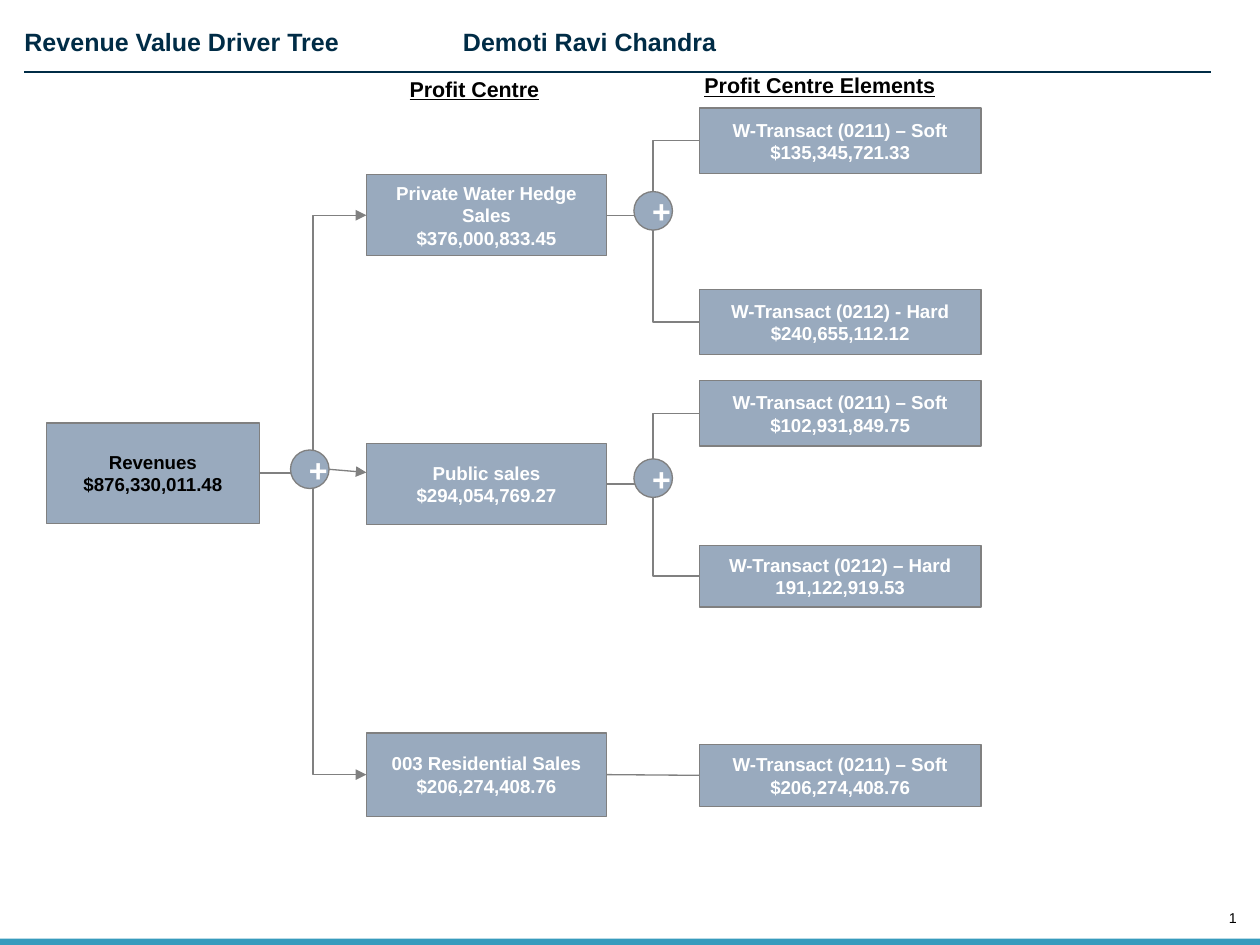
from dataclasses import dataclass

from lxml import etree
from pptx import Presentation
from pptx.dml.color import RGBColor
from pptx.enum import shapes, text
from pptx.oxml.ns import qn
from pptx.util import Pt

NAVY, TEAL, STEEL, GREY = "002C46", "379BBD", "99AABE", "808080"
BLACK, WHITE = "000000", "FFFFFF"
LEFT_SITE, RIGHT_SITE = 1, 3
CIRCLE = 21.6
STRAIGHT, ELBOW = shapes.MSO_CONNECTOR.STRAIGHT, shapes.MSO_CONNECTOR.ELBOW
CENTER, RIGHT = text.PP_ALIGN.CENTER, text.PP_ALIGN.RIGHT


@dataclass
class Column:
    left: float
    width: float
    color: str = WHITE


@dataclass
class Node:
    column: Column
    top: float
    height: float
    name: str
    amount: str


@dataclass
class Label:
    left: float
    top: float
    width: float
    height: float
    words: str
    size: float
    color: str = BLACK
    bold: bool = True
    underline: bool = False
    inset: bool = True


def rgb(color: str) -> RGBColor:
    return RGBColor.from_string(color)


def write(sp, words: str, size: float, color: str, align=None,
          bold: bool = True, underline: bool = False) -> None:
    tf = sp.text_frame
    tf.text = words
    for p in tf.paragraphs:
        p.alignment = align
        for r in p.runs:
            r.font.name, r.font.size = "Arial", Pt(size)
            r.font.bold, r.font.underline = bold, underline
            r.font.color.rgb = rgb(color)


def add_block(s, kind, left: float, top: float, width: float, height: float,
              fill: str, line: str | None = None):
    sp = s.shapes.add_shape(kind, Pt(left), Pt(top), Pt(width), Pt(height))
    sp.shadow.inherit = False
    sp.fill.solid()
    sp.fill.fore_color.rgb = rgb(fill)
    if line:
        sp.line.color.rgb, sp.line.width = rgb(line), Pt(0.75)
    else:
        sp.line.fill.background()
    return sp


def add_node(s, node: Node):
    col = node.column
    sp = add_block(s, shapes.MSO_SHAPE.RECTANGLE, col.left, node.top,
                   col.width, node.height, STEEL, GREY)
    sp.text_frame.vertical_anchor = text.MSO_ANCHOR.MIDDLE
    write(sp, f"{node.name}\n{node.amount}", 10.5, col.color, CENTER)
    return sp


def add_plus(s, left: float, top: float) -> None:
    sp = add_block(s, shapes.MSO_SHAPE.OVAL, left, top, CIRCLE, CIRCLE, STEEL, GREY)
    sp.text_frame.vertical_anchor = text.MSO_ANCHOR.MIDDLE
    write(sp, "+", 18, WHITE, CENTER)


def add_label(s, label: Label, align=None):
    sp = s.shapes.add_textbox(Pt(label.left), Pt(label.top),
                              Pt(label.width), Pt(label.height))
    tf = sp.text_frame
    tf.word_wrap = True
    if not label.inset:
        tf.margin_left = tf.margin_right = tf.margin_top = tf.margin_bottom = 0
    write(sp, label.words, label.size, label.color, align, label.bold, label.underline)
    return sp


def add_line(s, kind, x1: float, y1: float, x2: float, y2: float,
             color: str = GREY, arrow: bool = False):
    cx = s.shapes.add_connector(kind, Pt(x1), Pt(y1), Pt(x2), Pt(y2))
    cx.line.color.rgb, cx.line.width = rgb(color), Pt(0.75)
    if arrow:
        etree.SubElement(cx.line._get_or_add_ln(), qn("a:tailEnd"), type="triangle")
    etree.SubElement(cx._element.spPr, qn("a:effectLst"))
    return cx


def join(s, parent, child, kind=ELBOW, arrow: bool = False) -> None:
    cx = add_line(s, kind, 0, 0, 0, 0, arrow=arrow)
    cx.begin_connect(parent, RIGHT_SITE)
    cx.end_connect(child, LEFT_SITE)


prs = Presentation()
prs.slide_width, prs.slide_height = Pt(705.6), Pt(529.2)
s = prs.slides.add_slide(prs.slide_layouts[6])

# Page number and footer band
add_label(s, Label(682.6, 509, 10.1, 9.4, "1", 8, bold=False, inset=False), RIGHT)
add_block(s, shapes.MSO_SHAPE.RECTANGLE, 0, 525.6, 705.6, 3.6, TEAL)

# Title with the author at a tab stop, and the rule below
title = add_label(s, Label(13.7, 14.8, 688.3, 17.3,
                           "Revenue Value Driver Tree\tDemoti Ravi Chandra",
                           14, NAVY, inset=False))
pPr = title.text_frame.paragraphs[0]._p.get_or_add_pPr()
tabs = etree.SubElement(pPr, qn("a:tabLst"))
etree.SubElement(tabs, qn("a:tab"), pos=str(Pt(245.6)), algn="l")
add_line(s, STRAIGHT, 13.7, 40.3, 678.2, 40.3, NAVY)

# Column headings
for heading in (
    Label(222.3, 39, 141.1, 21.6, "Profit Centre", 12, underline=True),
    Label(387.4, 37.1, 157.7, 21.6, "Profit Centre Elements", 12, underline=True),
):
    add_label(s, heading)

# Driver tree: total, profit centres and their elements
total_col = Column(25.9, 119.5, BLACK)
centre_col = Column(205.2, 134.6)
element_col = Column(391.7, 157.7)
SOFT, HARD = "W-Transact (0211) – Soft", "W-Transact (0212) – Hard"

tree = [
    (Node(centre_col, 97.9, 45.4, "Private Water Hedge Sales", "$376,000,833.45"), [
        Node(element_col, 60.5, 36.7, SOFT, "$135,345,721.33"),
        Node(element_col, 162, 36.7, "W-Transact (0212) - Hard", "$240,655,112.12")]),
    (Node(centre_col, 248.4, 45.4, "Public sales", "$294,054,769.27"), [
        Node(element_col, 213.1, 36.7, SOFT, "$102,931,849.75"),
        Node(element_col, 305.3, 34.6, HARD, "191,122,919.53")]),
    (Node(centre_col, 410.4, 46.8, "003 Residential Sales", "$206,274,408.76"), [
        Node(element_col, 416.9, 34.6, SOFT, "$206,274,408.76")]),
]

total = add_node(s, Node(total_col, 236.9, 56.2, "Revenues", "$876,330,011.48"))
for centre, elements in tree:
    centre_sp = add_node(s, centre)
    if centre.name != "Public sales":
        join(s, total, centre_sp, arrow=True)
    for element in elements:
        join(s, centre_sp, add_node(s, element), ELBOW if len(elements) > 1 else STRAIGHT)

# Plus signs at the branches, and the arrow to the middle centre
for left, top in ((162.7, 252), (355, 107.3), (355, 257)):
    add_plus(s, left, top)
add_line(s, STRAIGHT, 184.3, 262.8, centre_col.left, 264.6, arrow=True)

prs.save("out.pptx")
